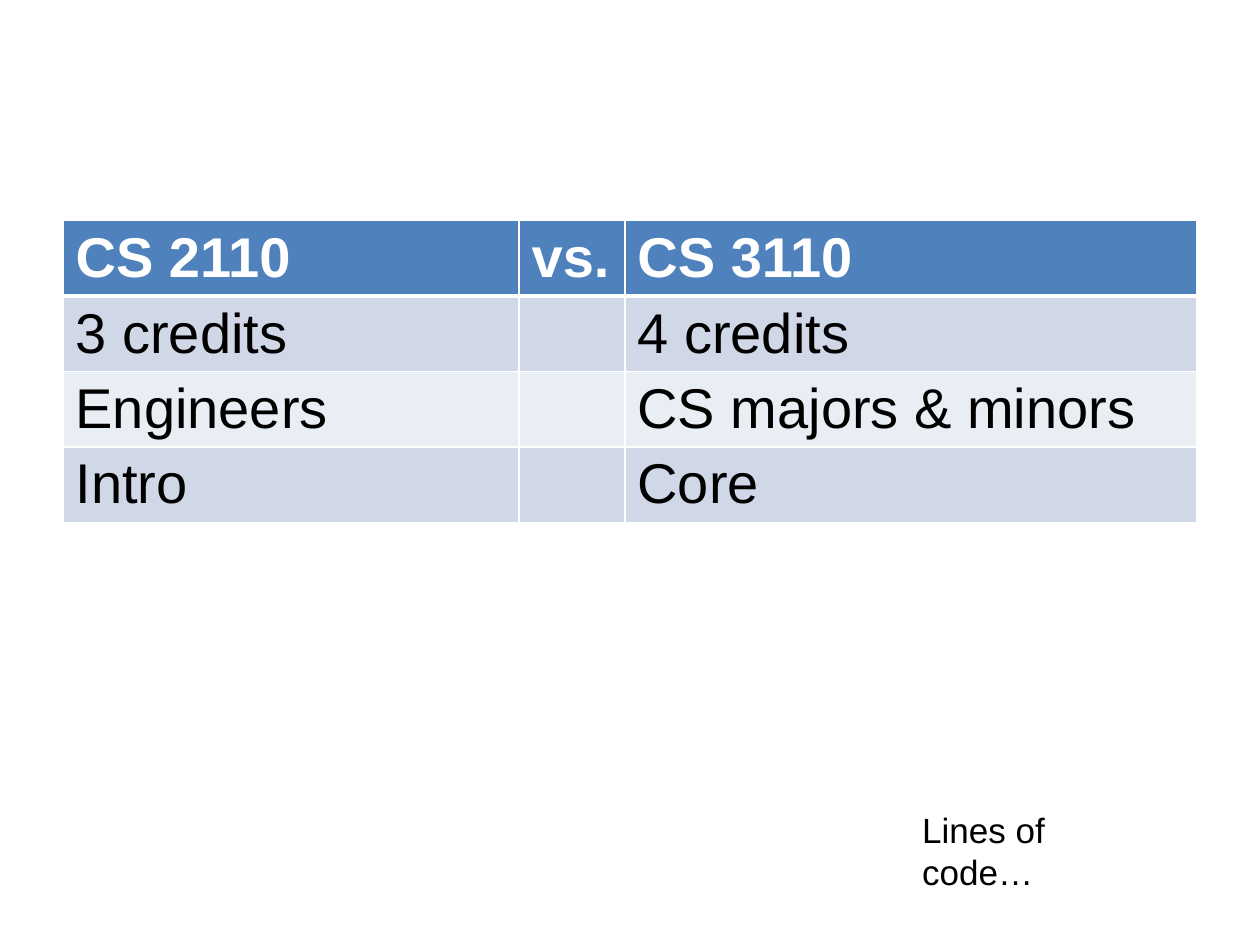
from pptx import Presentation
from pptx.dml.color import RGBColor
from pptx.enum.text import MSO_AUTO_SIZE
from pptx.oxml import parse_xml
from pptx.oxml.ns import nsdecls
from pptx.util import Inches, Pt

COLORS = {
    "header": "4F81BD",
    "band_dark": "D0D8E8",
    "band_light": "E9EDF4",
    "white": "FFFFFF",
    "black": "000000",
}


def style_run(r, size, color, bold=False):
    r.font.name = "Arial"
    r.font.size = Pt(size)
    r.font.bold = bold
    r.font.color.rgb = RGBColor.from_string(COLORS[color])


def add_border(cell, side, width):
    cell._tc.get_or_add_tcPr().append(parse_xml(
        f'<a:{side} {nsdecls("a")} w="{Pt(width)}"><a:solidFill>'
        f'<a:srgbClr val="{COLORS["white"]}"/></a:solidFill></a:{side}>'))


prs = Presentation()
prs.slide_width, prs.slide_height = Inches(10), Inches(7.5)
s = prs.slides.add_slide(prs.slide_layouts[6])

# Course comparison table
courses = [
    ("CS 2110", "vs.", "CS 3110"),
    ("3 credits", "", "4 credits"),
    ("Engineers", "", "CS majors & minors"),
    ("Intro", "", "Core"),
]
frame = s.shapes.add_table(len(courses), 3, Inches(0.5), Inches(1.75),
                           Inches(9), Inches(2.53))
table = frame.table
for col, width in zip(table.columns, (3.62, 0.84, 4.54)):
    col.width = Inches(width)
for row in table.rows:
    row.height = Inches(0.41)
frame.height = Inches(2.53)

for i, texts in enumerate(courses):
    header = i == 0
    fill = "header" if header else "band_dark" if i % 2 else "band_light"
    for j, text in enumerate(texts):
        cell = table.cell(i, j)
        # Borders come before the fill in the cell properties
        for side in ("lnL", "lnR", "lnT", "lnB"):
            thick = (header and side == "lnB") or (i == 1 and side == "lnT")
            add_border(cell, side, 3 if thick else 1)
        cell.fill.solid()
        cell.fill.fore_color.rgb = RGBColor.from_string(COLORS[fill])
        if text:
            cell.text_frame.text = text
            style_run(cell.text_frame.paragraphs[0].runs[0], 32,
                      "white" if header else "black", header)

# Note at the lower right
note = s.shapes.add_textbox(Inches(7.22), Inches(6.37), Inches(1.82), Inches(0.44))
tf = note.text_frame
tf.word_wrap = True
tf.auto_size = MSO_AUTO_SIZE.SHAPE_TO_FIT_TEXT
tf.text = "Lines of code…"
style_run(tf.paragraphs[0].runs[0], 20, "black")

prs.save("out.pptx")
